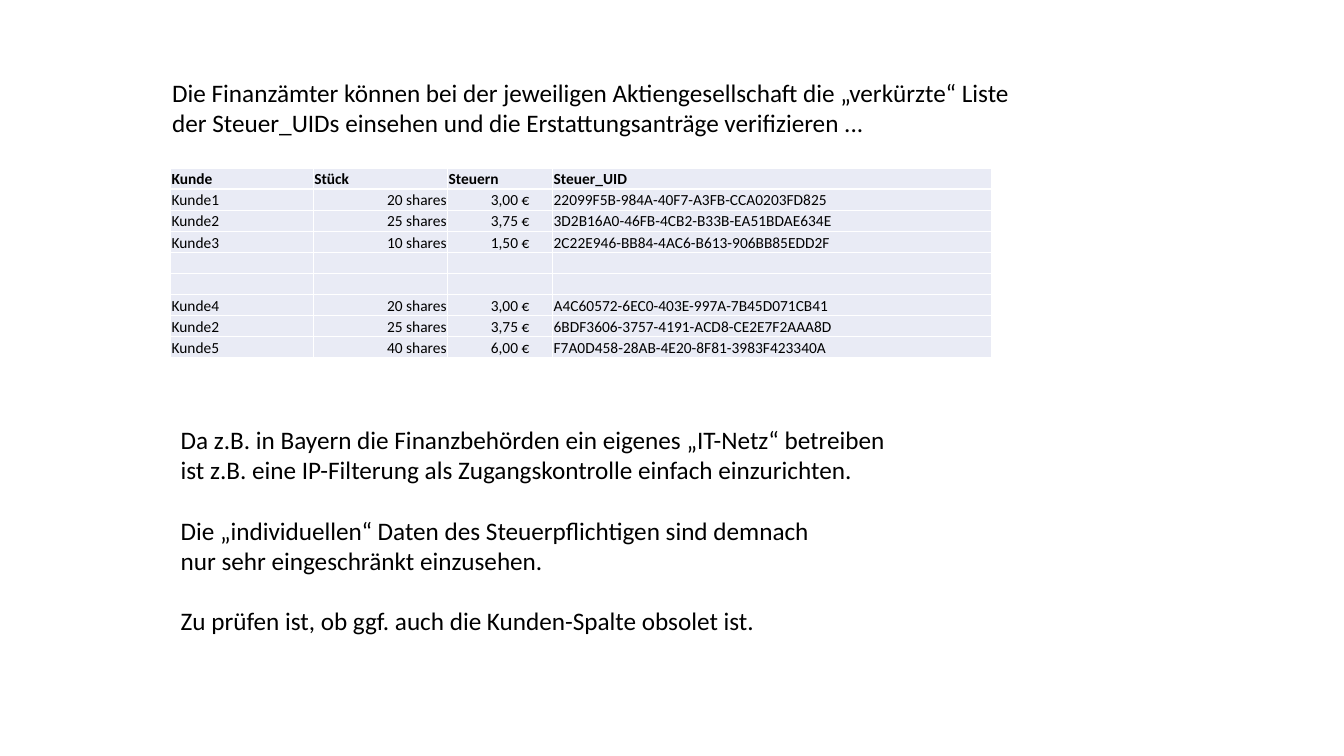
import dataclasses

import lxml.etree
import pptx
import pptx.dml.color
import pptx.enum.text
import pptx.oxml.ns
import pptx.util

ALIGN = pptx.enum.text.PP_ALIGN
ANCHOR = pptx.enum.text.MSO_ANCHOR
LINE_BREAK = "\v"


@dataclasses.dataclass(frozen=True)
class Theme:
    """Colours, font and type sizes of the slide."""
    font: str = "Calibri"
    text: str = "000000"
    cell: str = "E9EBF5"
    border: str = "FFFFFF"
    prose_size: int = 18
    table_size: int = 11
    border_width: int = 1


def child(parent, tag, **attributes):
    """Append a DrawingML element and return it."""
    return lxml.etree.SubElement(parent, pptx.oxml.ns.qn(tag), **attributes)


def write(paragraph, text, theme, size, bold=False, align=ALIGN.LEFT, before=0):
    """Fill a paragraph with formatted text, vertical tabs becoming line breaks."""
    paragraph.text = text
    paragraph.alignment = align
    paragraph.line_spacing = 1.0
    paragraph.space_before = pptx.util.Pt(before)
    paragraph.space_after = pptx.util.Pt(0)
    for run in paragraph.runs:
        run.font.name = theme.font
        run.font.size = pptx.util.Pt(size)
        run.font.bold = bold
        run.font.color.rgb = pptx.dml.color.RGBColor.from_string(theme.text)
    for line_break in paragraph._p.findall(pptx.oxml.ns.qn("a:br")):
        child(line_break, "a:rPr", sz=str(size * 100))
    child(paragraph._p, "a:endParaRPr", sz=str(size * 100))


class SlideBuilder:
    """Places styled elements on a slide, measured in grid columns and rows."""
    COLUMNS, ROWS = 160, 90

    def __init__(self, presentation, theme):
        """Add a slide with title and body placeholders."""
        self.theme = theme
        self.column = presentation.slide_width / self.COLUMNS
        self.row = presentation.slide_height / self.ROWS
        self.slide = presentation.slides.add_slide(presentation.slide_layouts[1])

    def box(self, left, top, width, height):
        """Convert a grid rectangle to slide lengths."""
        return (round(left * self.column), round(top * self.row),
                round(width * self.column), round(height * self.row))

    def prose(self, shape, area, paragraphs, gap=0):
        """Move a placeholder and fill it with unbulleted paragraphs."""
        shape.left, shape.top, shape.width, shape.height = self.box(*area)
        frame = shape.text_frame
        frame.word_wrap = False
        frame.auto_size = pptx.enum.text.MSO_AUTO_SIZE.SHAPE_TO_FIT_TEXT
        frame.vertical_anchor = ANCHOR.TOP
        for index, text in enumerate(paragraphs):
            paragraph = frame.add_paragraph() if index else frame.paragraphs[0]
            write(paragraph, text, self.theme, self.theme.prose_size,
                  before=gap if index else 0)
            properties = paragraph._p.get_or_add_pPr()
            properties.set("marL", "0")
            properties.set("indent", "0")
            child(properties, "a:buNone")

    def title(self, area, text):
        """Fill the title placeholder."""
        self.prose(self.slide.shapes.title, area, [text])

    def body(self, area, paragraphs, gap):
        """Fill the body placeholder."""
        self.prose(self.slide.placeholders[1], area, paragraphs, gap)

    def table(self, left, top, widths, row_height, records, formats):
        """Add a table whose first record is the header."""
        area = self.box(left, top, sum(widths), row_height * len(records))
        table = self.slide.shapes.add_table(len(records), len(widths), *area).table
        table.first_row = table.horz_banding = False
        for column, width in zip(table.columns, widths):
            column.width = round(width * self.column)
        for row_index, record in enumerate(records):
            table.rows[row_index].height = round(row_height * self.row)
            for column_index, text in enumerate(record):
                align, right_margin = formats[column_index]
                if row_index == 0:
                    align, right_margin = ALIGN.LEFT, 0.01
                self.cell(table.cell(row_index, column_index), text, align,
                          right_margin, bold=row_index == 0)

    def cell(self, cell, text, align, right_margin, bold):
        """Fill, border and write one table cell."""
        theme = self.theme
        cell.margin_left = cell.margin_top = pptx.util.Inches(0.01)
        cell.margin_right = pptx.util.Inches(right_margin)
        cell.margin_bottom = 0
        cell.vertical_anchor = ANCHOR.BOTTOM
        write(cell.text_frame.paragraphs[0], text, theme, theme.table_size,
              bold=bold, align=align)
        properties = cell._tc.get_or_add_tcPr()
        for tag in ("a:lnL", "a:lnR", "a:lnT", "a:lnB"):
            line = child(properties, tag, w=str(pptx.util.Pt(theme.border_width)))
            child(child(line, "a:solidFill"), "a:srgbClr", val=theme.border)
        cell.fill.solid()
        cell.fill.fore_color.rgb = pptx.dml.color.RGBColor.from_string(theme.cell)
        properties.append(properties.find(pptx.oxml.ns.qn("a:solidFill")))


EMPTY = ("",) * 4
TAX_RECORDS = [
    ("Kunde", "Stück", "Steuern", "Steuer_UID"),
    ("Kunde1", "20 shares", "3,00 €", "22099F5B-984A-40F7-A3FB-CCA0203FD825"),
    ("Kunde2", "25 shares", "3,75 €", "3D2B16A0-46FB-4CB2-B33B-EA51BDAE634E"),
    ("Kunde3", "10 shares", "1,50 €", "2C22E946-BB84-4AC6-B613-906BB85EDD2F"),
    EMPTY,
    EMPTY,
    ("Kunde4", "20 shares", "3,00 €", "A4C60572-6EC0-403E-997A-7B45D071CB41"),
    ("Kunde2", "25 shares", "3,75 €", "6BDF3606-3757-4191-ACD8-CE2E7F2AAA8D"),
    ("Kunde5", "40 shares", "6,00 €", "F7A0D458-28AB-4E20-8F81-3983F423340A"),
]
# Alignment and right margin in inches of each column below the header.
COLUMN_FORMATS = [(ALIGN.LEFT, 0.01), (ALIGN.RIGHT, 0.01),
                  (ALIGN.RIGHT, 0.23), (ALIGN.LEFT, 0.01)]
CONCLUSIONS = [
    LINE_BREAK.join((
        "Da z.B. in Bayern die Finanzbehörden ein eigenes „IT-Netz“ betreiben",
        "ist z.B. eine IP-Filterung als Zugangskontrolle einfach einzurichten.")),
    LINE_BREAK.join((
        "Die „individuellen“ Daten des Steuerpflichtigen sind demnach",
        "nur sehr eingeschränkt einzusehen.")),
    "Zu prüfen ist, ob ggf. auch die Kunden-Spalte obsolet ist.",
]


def main():
    """Build and save the presentation."""
    presentation = pptx.Presentation()
    presentation.slide_width = pptx.util.Inches(13.33)
    presentation.slide_height = pptx.util.Inches(7.5)
    builder = SlideBuilder(presentation, Theme())
    builder.title((19.3, 8.6, 104, 8.5), LINE_BREAK.join((
        "Die Finanzämter können bei der jeweiligen Aktiengesellschaft die „verkürzte“ Liste",
        "der Steuer_UIDs einsehen und die Erstattungsanträge verifizieren ...")))
    builder.table(20.3, 20, (17, 16, 12.5, 52.3), 2.51, TAX_RECORDS, COLUMN_FORMATS)
    builder.body((20.3, 49.9, 87.6, 26.6), CONCLUSIONS, gap=21.6)
    presentation.save("out.pptx")


main()
